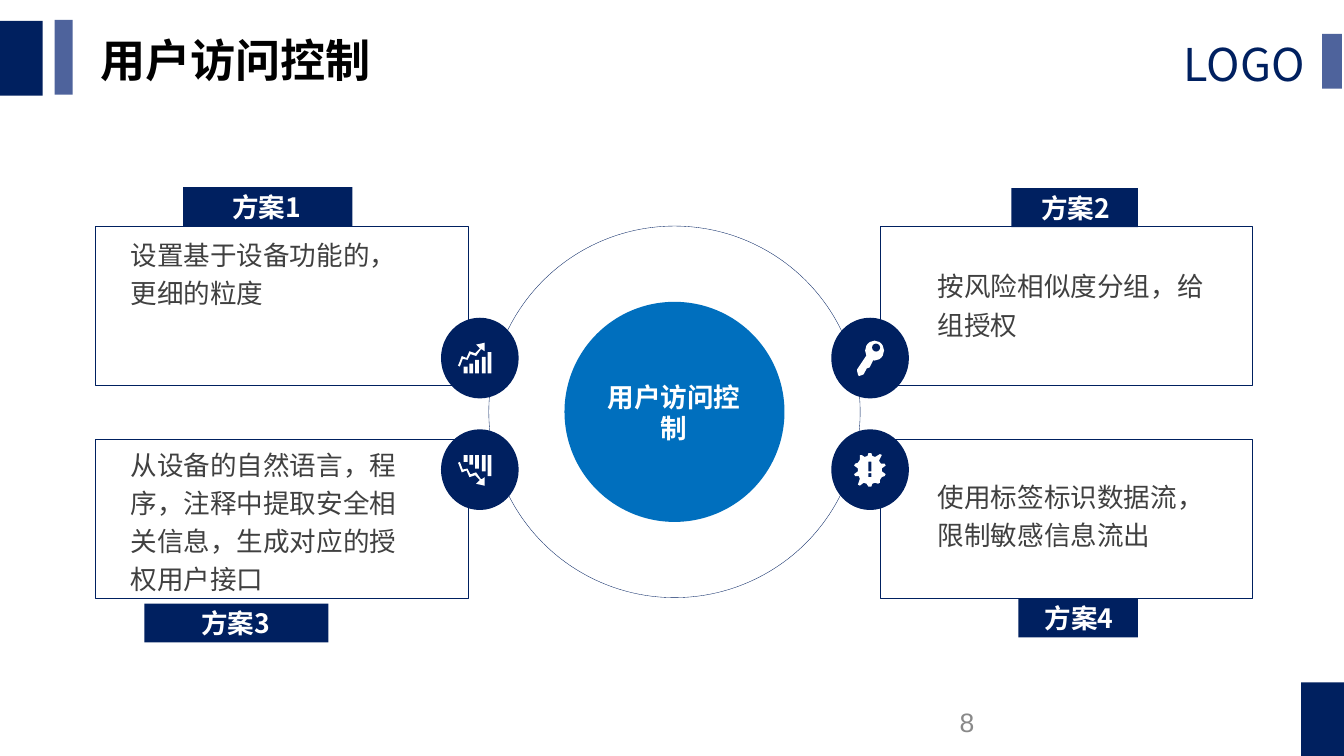
from pptx import Presentation
from pptx.dml.color import RGBColor
from pptx.enum.shapes import MSO_SHAPE as SHAPE
from pptx.enum.text import MSO_ANCHOR as ANCHOR, PP_ALIGN as ALIGN
from pptx.oxml.ns import qn
from pptx.util import Pt
from lxml import etree

PX = 9525
ICON_UNIT = 0.96 * PX
CJK_FONT = "Noto Sans CJK SC"
NAVY, DEEP_NAVY, SLATE, BLUE = "002060", "00205F", "4E639C", "006FBE"
WHITE, BLACK, BODY_GREY, NUMBER_GREY = "FFFFFF", "000000", "404040", "898989"

CARD_WIDTH, CARD_HEIGHT = 374, 160
LEFT_COLUMN, RIGHT_COLUMN = 96, 884
TOP_ROW, BOTTOM_ROW = 227, 441

ICON_HEIGHT = 32
TREND_ARROW = [(13, 12), (19, 14), (24, 7), (25, 7), (28, 9), (28, 0), (24, 1), (19, 2), (23, 6),
               (18, 11), (12, 9), (9, 16), (4, 14), (1, 22), (0, 24), (2, 25), (5, 17), (10, 18)]
BAR_TOPS = [25, 22, 18, 15, 10]
KEY_SHANK = [(10, 15), (0, 30), (0, 32), (1, 36), (2, 37), (5, 36), (7, 35), (10, 29),
             (13, 28), (17, 20)]
BURST = [(33, 23), (29, 20), (29, 17), (33, 14), (32, 12), (28, 12), (26, 9), (29, 3), (27, 2),
         (22, 5), (19, 4), (18, 1), (15, 1), (14, 4), (11, 5), (8, 3), (6, 3), (6, 8), (4, 11),
         (1, 12), (0, 14), (4, 17), (4, 20), (0, 23), (1, 25), (5, 25), (6, 28), (4, 34),
         (6, 35), (10, 32), (13, 33), (15, 36), (18, 36), (19, 33), (22, 32), (25, 33),
         (27, 32), (27, 29), (29, 26), (32, 25)]


def color(hex_text):
    return RGBColor.from_string(hex_text)


def paint(shape, fill, line=None):
    shape.shadow.inherit = False
    if fill:
        shape.fill.solid()
        shape.fill.fore_color.rgb = color(fill)
    else:
        shape.fill.background()
    if line:
        shape.line.color.rgb = color(line)
        shape.line.width = Pt(0.25)
    else:
        shape.line.fill.background()


def add_preset(slide, kind, left, top, width, height, fill=None, line=None):
    shape = slide.shapes.add_shape(kind, left * PX, top * PX, width * PX, height * PX)
    paint(shape, fill, line)
    return shape


def add_outline(slide, left, top, contours):
    """Draw closed white polygons, given in icon units, as one shape."""
    builder = slide.shapes.build_freeform(*contours[0][0], scale=ICON_UNIT)
    builder.add_line_segments(contours[0][1:], close=True)
    for contour in contours[1:]:
        builder.move_to(*contour[0])
        builder.add_line_segments(contour[1:], close=True)
    paint(builder.convert_to_shape(left * PX, top * PX), WHITE)


def write(shape, text, size, text_color, font=CJK_FONT, bold=False, align=ALIGN.LEFT,
          anchor=ANCHOR.TOP, insets=(11, 5, 11, 5), spacing=None):
    frame = shape.text_frame
    frame.text = text
    frame.word_wrap = True
    frame.vertical_anchor = anchor
    frame.margin_left, frame.margin_top, frame.margin_right, frame.margin_bottom = (
        inset * PX for inset in insets)
    paragraph = frame.paragraphs[0]
    paragraph.alignment = align
    if spacing:
        paragraph.line_spacing = spacing
    run = paragraph.runs[0]
    run.font.name = font
    run.font.size = Pt(size)
    run.font.bold = bold
    run.font.color.rgb = color(text_color)
    east_asian = etree.SubElement(run.font._element, qn("a:ea"))
    east_asian.set("typeface", CJK_FONT)


def add_text(slide, left, top, width, height, text, size, text_color, **style):
    box = slide.shapes.add_textbox(left * PX, top * PX, width * PX, height * PX)
    write(box, text, size, text_color, **style)


def rectangle(left, top, right, bottom):
    return [(left, top), (right, top), (right, bottom), (left, bottom)]


def rising_chart():
    bars = [rectangle(6 + round(6.25 * index), top, 10 + round(6.25 * index), ICON_HEIGHT)
            for index, top in enumerate(BAR_TOPS)]
    return [TREND_ARROW, *bars]


def draw_rising_icon(slide, left, top):
    add_outline(slide, left + 17, top + 25, rising_chart())


def draw_falling_icon(slide, left, top):
    flipped = [[(x, ICON_HEIGHT - y) for x, y in contour] for contour in rising_chart()]
    add_outline(slide, left + 17, top + 26, flipped)


def draw_key_icon(slide, left, top):
    add_outline(slide, left + 26, top + 23, [KEY_SHANK])
    add_preset(slide, SHAPE.OVAL, left + 34, top + 23, 19, 20, WHITE)
    add_preset(slide, SHAPE.OVAL, left + 41, top + 26, 8, 8, NAVY)


def draw_warning_icon(slide, left, top):
    exclamation = [rectangle(15, 10, 18, 20), rectangle(15, 22, 18, 26)]
    add_outline(slide, left + 23, top + 23, [BURST, *exclamation])


def draw_header(slide, width):
    add_preset(slide, SHAPE.RECTANGLE, 0, 21, 43, 75, DEEP_NAVY)
    add_preset(slide, SHAPE.RECTANGLE, 55, 20, 18, 75, SLATE)
    add_preset(slide, SHAPE.RECTANGLE, width - 22, 34, 20, 55, SLATE)
    add_text(slide, 90, 28, 631, 65, "用户访问控制", 34, BLACK, bold=True)
    add_text(slide, width - 172, 32, 178, 64, "LOGO", 34, NAVY)


def draw_footer(slide, width, height):
    add_preset(slide, SHAPE.RECTANGLE, width - 43, height - 74, 43, 74, DEEP_NAVY)
    add_text(slide, 953, height - 55, 303, 40, "8", 20, NUMBER_GREY, font="Arial")


def draw_hub(slide, left, top, size):
    add_preset(slide, SHAPE.OVAL, left, top, size, size, line=NAVY)
    add_preset(slide, SHAPE.OVAL, left + 76, top + 76, size - 152, size - 152, BLUE)
    add_text(slide, left + 94, top + 130, 184, 114, "用户访问控制", 20, WHITE, bold=True,
             align=ALIGN.CENTER, anchor=ANCHOR.MIDDLE, insets=(14, 7, 14, 7))


def draw_card(slide, left, top, body, body_offset, body_height, label, label_box, draw_icon):
    """Place a framed scheme; body_offset and label_box are relative to its frame."""
    add_preset(slide, SHAPE.RECTANGLE, left, top, CARD_WIDTH, CARD_HEIGHT, line=NAVY)
    on_left = left == LEFT_COLUMN
    badge_left = left + (347 if on_left else -49)
    badge_top = top + (92 if top == TOP_ROW else -10)
    add_preset(slide, SHAPE.OVAL, badge_left, badge_top, 78, 81, NAVY)
    draw_icon(slide, badge_left, badge_top)
    add_text(slide, left + (23 if on_left else 46), top + body_offset, 304, body_height, body,
             20, BODY_GREY, font="Arial", insets=(12, 6, 12, 6), spacing=1.2)
    label_left, label_top, label_width = label_box
    tab = add_preset(slide, SHAPE.RECTANGLE, left + label_left, top + label_top,
                     label_width, 39, NAVY)
    write(tab, label, 20, WHITE, bold=True, align=ALIGN.CENTER, anchor=ANCHOR.MIDDLE,
          insets=(12, 7, 14, 7) if on_left else (14, 7, 12, 7))


def main():
    width, height = 1350, 759
    presentation = Presentation()
    presentation.slide_width, presentation.slide_height = width * PX, height * PX
    slide = presentation.slides.add_slide(presentation.slide_layouts[6])
    draw_header(slide, width)
    draw_footer(slide, width, height)
    draw_hub(slide, 491, TOP_ROW, 373)
    cards = [
        (LEFT_COLUMN, TOP_ROW, "设置基于设备功能的，更细的粒度", 0, 89,
         "方案1", (88, -39, 170), draw_rising_icon),
        (RIGHT_COLUMN, TOP_ROW, "按风险相似度分组，给组授权", 32, 89,
         "方案2", (132, -38, 127), draw_key_icon),
        (LEFT_COLUMN, BOTTOM_ROW, "从设备的自然语言，程序，注释中提取安全相关信息，生成对应的授权用户接口",
         -3, 167, "方案3", (49, 165, 185), draw_falling_icon),
        (RIGHT_COLUMN, BOTTOM_ROW, "使用标签标识数据流，限制敏感信息流出", 29, 89,
         "方案4", (139, 160, 120), draw_warning_icon),
    ]
    for card in cards:
        draw_card(slide, *card)
    presentation.save("out.pptx")


if __name__ == "__main__":
    main()
